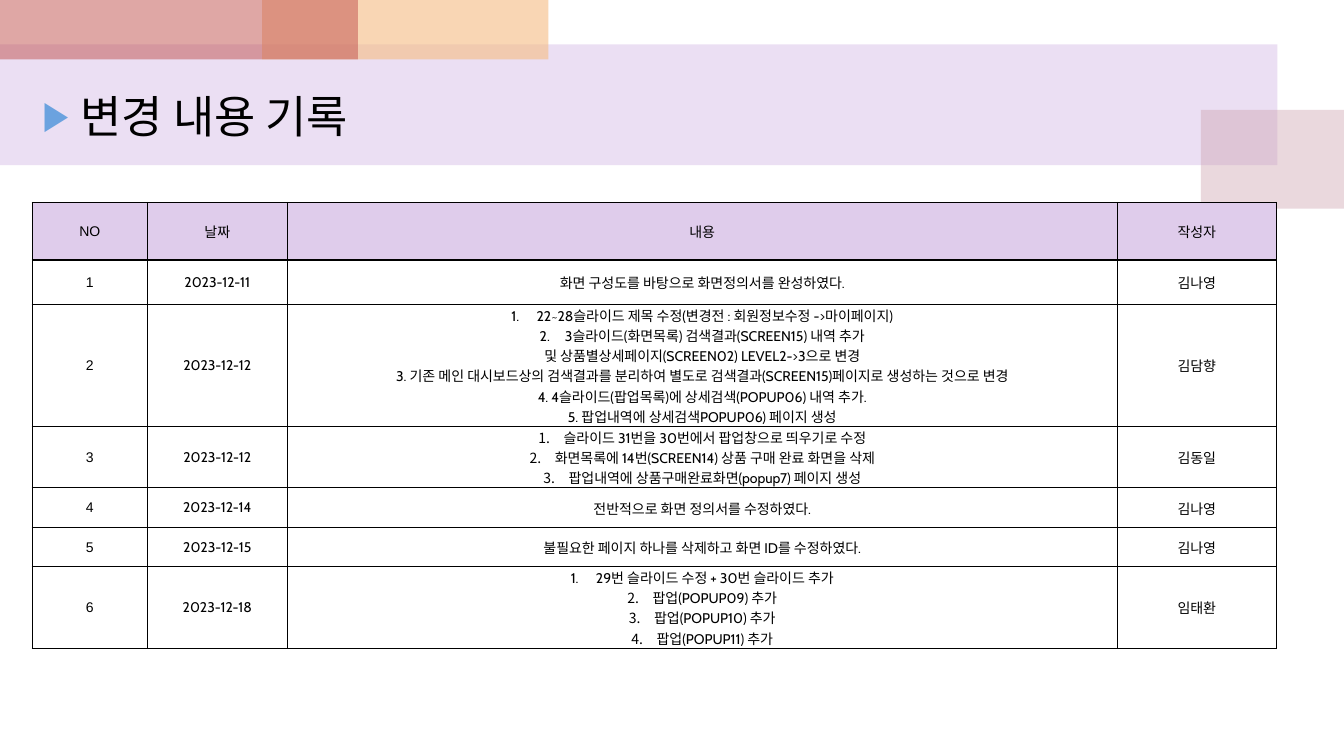
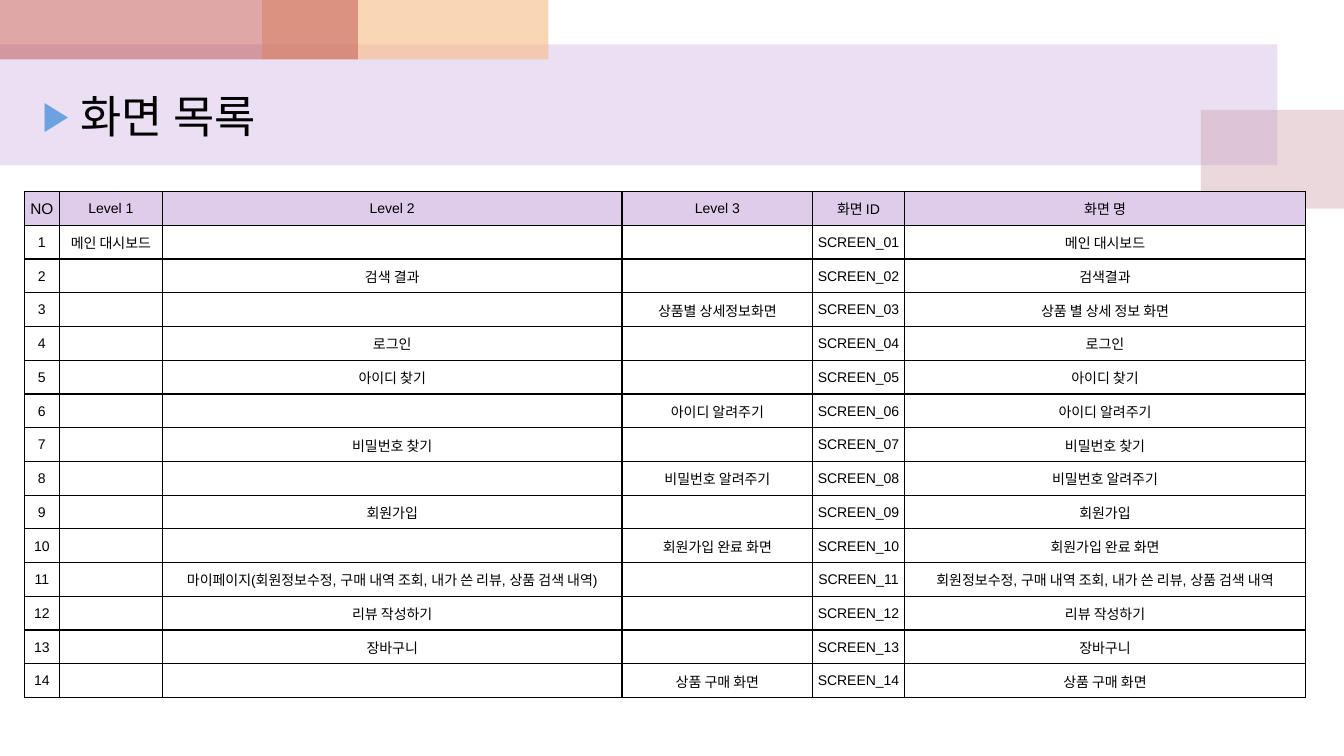
from lxml import etree
from pptx import Presentation
from pptx.dml.color import RGBColor
from pptx.enum.shapes import MSO_SHAPE
from pptx.enum.text import MSO_ANCHOR, MSO_AUTO_SIZE, PP_ALIGN
from pptx.oxml.ns import qn
from pptx.util import Inches, Pt

RECTANGLE = MSO_SHAPE.RECTANGLE
LEFT, CENTER = PP_ALIGN.LEFT, PP_ALIGN.CENTER
TOP, MIDDLE = MSO_ANCHOR.TOP, MSO_ANCHOR.MIDDLE
NO_FIT = MSO_AUTO_SIZE.NONE

COLORS = {
    "lavender": "BF98D8",
    "rose": "CC9EAC",
    "apricot": "F5BC83",
    "red": "C0504D",
    "header": "DFCCEB",
    "marker": "6BA2DF",
    "ink": "000000",
}
BANDS = [
    ((0, 0.44, 12.67, 1.2), "lavender", 30),
    ((11.91, 1.09, 1.43, 0.98), "rose", 40),
    ((2.6, 0, 2.84, 0.59), "apricot", 60),
    ((0, 0, 3.55, 0.59), "red", 50),
]
TITLE_BOX = (0.32, 0.83, 6.77, 0.32)
NUMBERED = "#"

CHANGES = [
    ["NO", "날짜", "내용", "작성자"],
    ["1", "2023-12-11", "화면 구성도를 바탕으로 화면정의서를 완성하였다.", "김나영"],
    ["2", "2023-12-12",
     "#22~28슬라이드 제목 수정(변경전 : 회원정보수정 ->마이페이지)\n"
     "#3슬라이드(화면목록) 검색결과(SCREEN15) 내역 추가\n"
     "및 상품별상세페이지(SCREEN02) LEVEL2->3으로 변경\n"
     "3. 기존 메인 대시보드상의 검색결과를 분리하여 별도로 "
     "검색결과(SCREEN15)페이지로 생성하는 것으로 변경\n"
     "4. 4슬라이드(팝업목록)에 상세검색(POPUP06) 내역 추가.\n"
     "5. 팝업내역에 상세검색POPUP06) 페이지 생성", "김담향"],
    ["3", "2023-12-12",
     "#슬라이드 31번을 30번에서 팝업창으로 띄우기로 수정\n"
     "#화면목록에 14번(SCREEN14) 상품 구매 완료 화면을 삭제\n"
     "#팝업내역에 상품구매완료화면(popup7) 페이지 생성", "김동일"],
    ["4", "2023-12-14", "전반적으로 화면 정의서를 수정하였다.", "김나영"],
    ["5", "2023-12-15", "불필요한 페이지 하나를 삭제하고 화면 ID를 수정하였다.", "김나영"],
    ["6", "2023-12-18",
     "#29번 슬라이드 수정 + 30번 슬라이드 추가\n"
     "#팝업(POPUP09) 추가\n#팝업(POPUP10) 추가\n#팝업(POPUP11) 추가", "임태환"],
]

SCREEN_HEADER = ["NO", "Level 1", "Level 2", "Level 3", "화면 ID", "화면 명"]
SCREENS = [
    (1, "메인 대시보드", "메인 대시보드"),
    (2, "검색 결과", "검색결과"),
    (3, "상품별 상세정보화면", "상품 별 상세 정보 화면"),
    (2, "로그인", "로그인"),
    (2, "아이디 찾기", "아이디 찾기"),
    (3, "아이디 알려주기", "아이디 알려주기"),
    (2, "비밀번호 찾기", "비밀번호 찾기"),
    (3, "비밀번호 알려주기", "비밀번호 알려주기"),
    (2, "회원가입", "회원가입"),
    (3, "회원가입 완료 화면", "회원가입 완료 화면"),
    (2, "마이페이지(회원정보수정, 구매 내역 조회, 내가 쓴 리뷰, 상품 검색 내역)",
     "회원정보수정, 구매 내역 조회, 내가 쓴 리뷰, 상품 검색 내역"),
    (2, "리뷰 작성하기", "리뷰 작성하기"),
    (2, "장바구니", "장바구니"),
    (3, "상품 구매 화면", "상품 구매 화면"),
]


def rgb(name):
    return RGBColor.from_string(COLORS[name])


def hang(paragraph, indent):
    properties = paragraph._p.get_or_add_pPr()
    properties.set("marL", str(Inches(indent)))
    properties.set("indent", str(-Inches(indent)))
    return properties


def write(frame, text, size=10, font="Arial", color="ink", align=CENTER):
    for index, line in enumerate(text.split("\n")):
        paragraph = frame.add_paragraph() if index else frame.paragraphs[0]
        paragraph.alignment = align
        if line.startswith(NUMBERED):
            etree.SubElement(hang(paragraph, 0.25), qn("a:buAutoNum"), type="arabicPeriod")
        if line:
            run = paragraph.add_run()
            run.text = line.removeprefix(NUMBERED)
            run.font.size = Pt(size)
            run.font.name = font
            run.font.color.rgb = rgb(color)
        else:
            etree.SubElement(paragraph._p, qn("a:endParaRPr"), sz=str(size * 100))


def move_bands_to_layout(slide):
    layout_tree = slide.slide_layout.element.cSld.spTree
    for position, (box, color, opacity) in enumerate(BANDS, start=2):
        band = slide.shapes.add_shape(RECTANGLE, *map(Inches, box))
        band.shadow.inherit = False
        band.line.fill.background()
        band.fill.solid()
        band.fill.fore_color.rgb = rgb(color)
        tint = next(band.element.spPr.iter(qn("a:srgbClr")))
        etree.SubElement(tint, qn("a:alpha"), val=str(opacity * 1000))
        layout_tree.insert(position, band.element)


def place_title(slide, text, box):
    title = slide.shapes.title
    title.left, title.top, title.width, title.height = map(Inches, box)
    frame = title.text_frame
    frame.auto_size = NO_FIT
    frame.vertical_anchor = TOP
    write(frame, text, size=32, font="Cabin", align=LEFT)
    properties = hang(frame.paragraphs[0], 0.38)
    marker = etree.SubElement(properties, qn("a:buClr"))
    etree.SubElement(marker, qn("a:srgbClr"), val=COLORS["marker"])
    etree.SubElement(properties, qn("a:buSzPct"), val="90000")
    etree.SubElement(properties, qn("a:buFont"), typeface="Arial")
    etree.SubElement(properties, qn("a:buChar"), char="▶")


def draw_borders(cell):
    properties = cell._tc.get_or_add_tcPr()
    for position, side in enumerate(("lnL", "lnR", "lnT", "lnB")):
        border = etree.Element(qn(f"a:{side}"), w=str(Pt(1)))
        ink = etree.SubElement(border, qn("a:solidFill"))
        etree.SubElement(ink, qn("a:srgbClr"), val=COLORS["ink"])
        properties.insert(position, border)


def format_cell(cell, is_header):
    cell.vertical_anchor = MIDDLE
    cell.margin_left = cell.margin_right = Inches(0.04 if is_header else 0.01)
    cell.margin_top, cell.margin_bottom = Inches(0.01), 0
    if is_header:
        cell.fill.solid()
        cell.fill.fore_color.rgb = rgb("header")
    else:
        cell.fill.background()
    draw_borders(cell)


def place_table(slide, rows, box, widths, heights, body_font="Arial", corner_size=10):
    table = slide.shapes.add_table(len(rows), len(widths), *map(Inches, box)).table
    table.first_row = table.horz_banding = False
    for column, width in zip(table.columns, widths):
        column.width = Inches(width)
    for row, height in zip(table.rows, heights):
        row.height = Inches(height)
    for r, values in enumerate(rows):
        for c, value in enumerate(values):
            cell = table.cell(r, c)
            format_cell(cell, is_header=r == 0)
            write(cell.text_frame, value,
                  size=corner_size if r == c == 0 else 10,
                  font=body_font if r and c else "Arial")


def screen_rows():
    rows = [SCREEN_HEADER]
    for number, (level, label, name) in enumerate(SCREENS, start=1):
        levels = [label if level == step else "" for step in (1, 2, 3)]
        rows.append([str(number), *levels, f"SCREEN_{number:02}", name])
    return rows


def build_changes(slide):
    place_title(slide, "변경 내용 기록", TITLE_BOX)
    place_table(slide, CHANGES, (0.32, 2.01, 12.34, 3.98),
                [1.14, 1.39, 8.23, 1.58], [0.57, 0.44] + [0.39] * 5, body_font="Cabin")


def build_screens(slide):
    place_title(slide, "화면 목록", TITLE_BOX)
    rows = screen_rows()
    box = (0.24, 1.9, 12.72, 5.02)
    place_table(slide, rows, box, [0.35, 1.02, 4.56, 1.89, 0.91, 3.98],
                [box[3] / len(rows)] * len(rows), corner_size=11)


def main():
    deck = Presentation()
    deck.slide_width, deck.slide_height = Inches(13.33), Inches(7.5)
    layout = deck.slide_layouts[5]
    changes, screens = (deck.slides.add_slide(layout) for _ in range(2))
    move_bands_to_layout(changes)
    build_changes(changes)
    build_screens(screens)
    deck.save("out.pptx")


if __name__ == "__main__":
    main()
